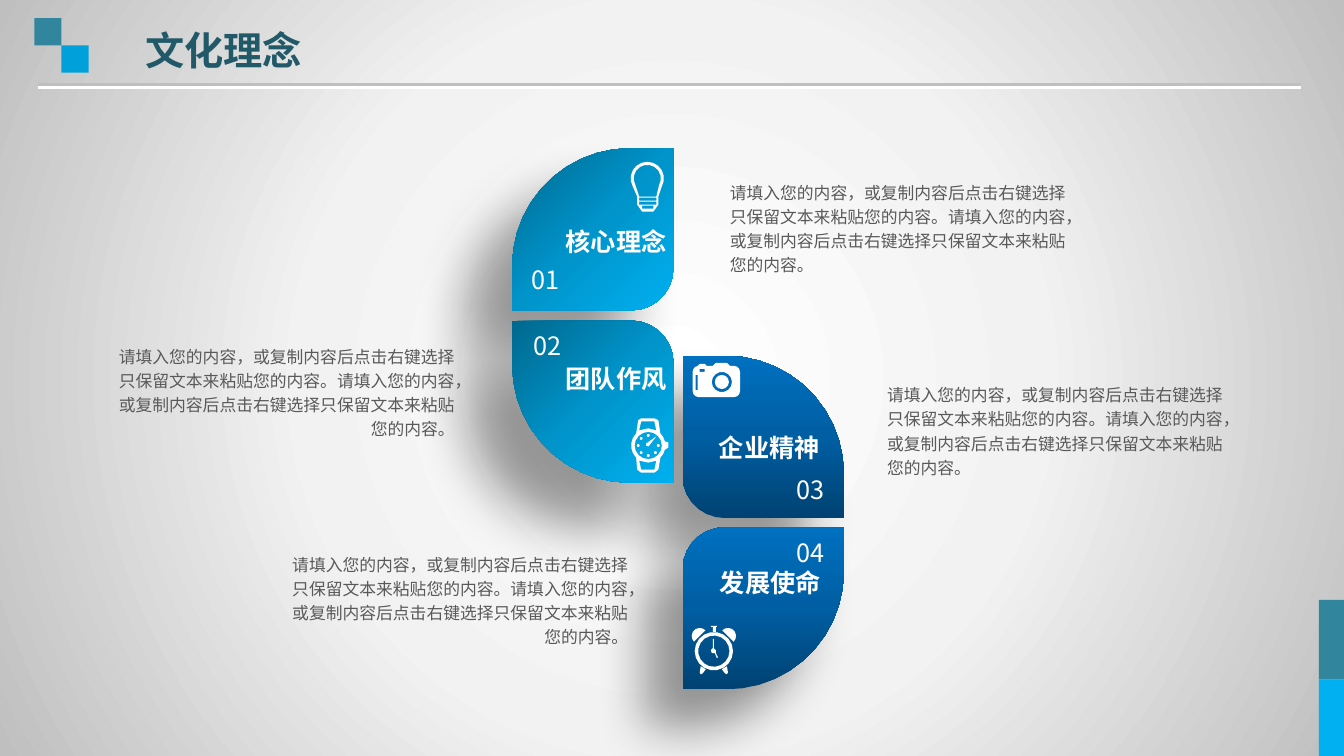
import math
import pptx
import pptx.dml.color
import pptx.enum.shapes
import pptx.enum.text
import pptx.oxml
import pptx.oxml.ns
import pptx.util

Inches, Pt = pptx.util.Inches, pptx.util.Pt
RGB = pptx.dml.color.RGBColor
Align, Anchor = pptx.enum.text.PP_ALIGN, pptx.enum.text.MSO_ANCHOR
qn = pptx.oxml.ns.qn

FONT = "Noto Sans CJK SC"
WHITE, GREY, BLACK = RGB(255, 255, 255), RGB(0xBF, 0xBF, 0xBF), RGB(0, 0, 0)
INK, TITLE = RGB(0x59, 0x59, 0x59), RGB(0x21, 0x59, 0x68)
TEAL, SKY, AZURE = RGB(0x31, 0x85, 0x9C), RGB(0, 0xB0, 0xF0), RGB(0, 0xA1, 0xDA)
PALE = [(0, WHITE), (48, RGB(0xF2, 0xF2, 0xF2)), (100, GREY)]
LIGHT = [(0, RGB(0, 0x68, 0x8E)), (50, RGB(0, 0x94, 0xCA)), (100, SKY)]
DEEP = [(0, RGB(0, 0x42, 0x72)), (50, RGB(0, 0x5E, 0xA2)), (100, RGB(0, 0x70, 0xC0))]

HEAD = "文化理念"
BODY = ("请填入您的内容，或复制内容后点击右键选择只保留文本来粘贴您的内容。"
        "请填入您的内容，或复制内容后点击右键选择只保留文本来粘贴您的内容。")
BODIES = [(7.14, 1.72, Align.LEFT), (1.07, 3.35, Align.RIGHT),
          (8.7, 3.73, Align.LEFT), (2.79, 5.41, Align.RIGHT)]
TILES = [(13.08, 5.95, 0.25, 0.79, TEAL), (13.08, 6.74, 0.25, 0.76, SKY),
         (0.34, 0.18, 0.27, 0.27, TEAL), (0.61, 0.45, 0.27, 0.27, AZURE)]
# Number, label, icon, petal corner, flips (x, y), number box, label box (left, top, width)
PETALS = [
    ("03", "企业精神", "camera", (6.77, 3.53), (True, False), (7.75, 4.61), (6.89, 4.25, 1.48)),
    ("01", "核心理念", "bulb", (5.08, 1.47), (False, False), (5.12, 2.52), (5.17, 2.21, 1.88)),
    ("04", "发展使命", "clock", (6.77, 5.23), (True, True), (7.75, 5.23), (6.9, 5.59, 1.48)),
    ("02", "团队作风", "watch", (5.08, 3.18), (False, True), (5.14, 3.18), (5.17, 3.57, 1.88)),
]
# Petal size, large radius, small radius
WIDE, TALL, BIG, SMALL = 1.6, 1.61, 1.17, 0.42


def arc(x, y, r, start=0, end=360):
    """Points along an arc, in degrees clockwise from the right."""
    count = math.ceil((end - start) / 360 * (2 + 36 * math.sqrt(r)))
    turns = [math.radians(start + (end - start) * i / count) for i in range(count + 1)]
    return [(x + r * math.cos(t), y + r * math.sin(t)) for t in turns]


def rect(x1, y1, x2, y2):
    return [(x1, y1), (x2, y1), (x2, y2), (x1, y2)]


def mirror(points, axis):
    return [(2 * axis - x, y) for x, y in points]


def bulb():
    glass = arc(6.42, 1.77, 0.165, 150, 390)
    base = [(6.53, 1.95), (6.53, 2.03), (6.48, 2.1), (6.37, 2.1), (6.32, 2.03), (6.32, 1.95)]
    hollow = arc(6.42, 1.77, 0.135, 150, 390) + [(6.51, 1.95), (6.34, 1.95)]
    slots = [rect(6.34, 1.96, 6.51, 1.99), rect(6.34, 2, 6.51, 2.03),
             rect(6.37, 2.04, 6.48, 2.07)]
    return [glass + base, hollow] + slots


def camera():
    top = [(6.92, 3.63), (6.94, 3.61), (6.99, 3.61), (7.01, 3.63), (7.07, 3.63),
           (7.1, 3.6), (7.21, 3.6), (7.24, 3.63)]
    body = (arc(6.93, 3.69, 0.06, 180, 260) + top + arc(7.28, 3.69, 0.06, 270, 360)
            + arc(7.28, 3.88, 0.06, 0, 90) + arc(6.93, 3.88, 0.06, 90, 180))
    return [body, rect(6.9, 3.72, 6.92, 3.87), rect(6.94, 3.66, 6.99, 3.69),
            arc(7.16, 3.79, 0.1), arc(7.16, 3.79, 0.07)]


def clock():
    x, y = 7.08, 6.46
    bell = arc(6.94, 6.31, 0.08, 135, 315)
    leg = [(6.95, 6.61), (7, 6.64), (6.97, 6.68), (6.95, 6.69), (6.94, 6.67)]
    knob = [(7.05, 6.21), (7.11, 6.21), (7.11, 6.22), (7.1, 6.22), (7.1, 6.27),
            (7.07, 6.27), (7.07, 6.22), (7.05, 6.22)]
    hands = [(7.07, 6.34), (7.08, 6.34), (7.08, 6.43), (7.1, 6.45), (7.1, 6.48),
             (7.12, 6.52), (7.11, 6.53), (7.09, 6.48), (7.06, 6.48), (7.05, 6.45), (7.07, 6.43)]
    return [arc(x, y, 0.19), arc(x, y, 0.155), knob, hands,
            bell, mirror(bell, x), leg, mirror(leg, x)]


def watch():
    x, y = 6.43, 4.42
    case = ([(6.36, 4.15), (6.49, 4.15), (6.53, 4.17)] + arc(x, y, 0.17, -45, -14)
            + [(6.63, 4.39), (6.63, 4.44)] + arc(x, y, 0.17, 14, 45)
            + [(6.53, 4.66), (6.49, 4.69), (6.36, 4.69), (6.32, 4.66)]
            + arc(x, y, 0.17, 135, 225) + [(6.33, 4.17)])
    strap = [(6.36, 4.18), (6.49, 4.18), (6.51, 4.27), (6.43, 4.25), (6.34, 4.27)]
    lower = [(a, 2 * y - b) for a, b in strap]
    turns = [math.radians(turn) for turn in range(0, 315, 45)]
    marks = [arc(x + 0.1 * math.cos(t), y + 0.1 * math.sin(t), 0.015) for t in turns]
    hand = [(6.51, 4.33), (6.44, 4.42), (6.43, 4.43), (6.41, 4.42), (6.41, 4.4)]
    return [case, arc(x, y, 0.135), strap, lower, hand] + marks


ICONS = {"bulb": bulb, "camera": camera, "clock": clock, "watch": watch}


def draw(shapes, loops):
    """Build one freeform; a loop inside another cuts a hole."""
    loops = [[(Inches(x), Inches(y)) for x, y in loop] for loop in loops]
    pen = shapes.build_freeform(*loops[0][0])
    pen.add_line_segments(loops[0][1:])
    for loop in loops[1:]:
        pen.move_to(*loop[0])
        pen.add_line_segments(loop[1:])
    return pen.convert_to_shape()


def paint(shape, color):
    shape.fill.solid()
    shape.fill.fore_color.rgb = color
    shape.line.fill.background()
    shape.shadow.inherit = False


def blend(fill, owner, stops, course):
    """Swap the solid fill for a gradient."""
    fill.solid()
    marks = "".join(f'<a:gs pos="{at * 1000}"><a:srgbClr val="{color}"/></a:gs>'
                    for at, color in stops)
    old = next(owner.iter(qn("a:solidFill")))
    old.getparent().replace(old, pptx.oxml.parse_xml(
        f'<a:gradFill {pptx.oxml.ns.nsdecls("a")} rotWithShape="1">'
        f'<a:gsLst>{marks}</a:gsLst>{course}</a:gradFill>'))


def shade(shape, color, alpha, blur, dist, turn):
    shape.element.spPr.append(pptx.oxml.parse_xml(
        f'<a:effectLst {pptx.oxml.ns.nsdecls("a")}><a:outerShdw blurRad="{Pt(blur)}" '
        f'dist="{Pt(dist)}" dir="{turn * 60000}" algn="ctr" rotWithShape="0">'
        f'<a:srgbClr val="{color}"><a:alpha val="{alpha * 1000}"/></a:srgbClr>'
        f'</a:outerShdw></a:effectLst>'))


def write(box, text, size, color, align, bold=False, anchor=Anchor.TOP, space=1.0):
    frame = box.text_frame
    frame.word_wrap = True
    frame.vertical_anchor = anchor
    frame.auto_size = pptx.enum.text.MSO_AUTO_SIZE.NONE
    line = frame.paragraphs[0]
    line.text, line.alignment, line.line_spacing = text, align, space
    font = line.font
    font.size, font.bold, font.name = Pt(size), bold, FONT
    font.color.rgb = color
    latin = next(box.element.iter(qn("a:latin")))
    latin.addnext(pptx.oxml.parse_xml(
        f'<a:ea {pptx.oxml.ns.nsdecls("a")} typeface="{FONT}"/>'))


def add_text(shapes, x, y, w, h, *style, **more):
    write(shapes.add_textbox(*map(Inches, (x, y, w, h))), *style, **more)


def add_petal(slide, num, label, icon, corner, flips, spot, place):
    shapes = slide.shapes.add_group_shape().shapes
    edge = (arc(BIG, BIG, BIG, 180, 270) + [(WIDE, 0)]
            + arc(WIDE - SMALL, TALL - SMALL, SMALL, 0, 90) + [(0, TALL)])
    left, top = corner
    edge = [(left + (WIDE - x if flips[0] else x), top + (TALL - y if flips[1] else y))
            for x, y in edge]
    petal = draw(shapes, [edge])
    stops, turn, cast = (DEEP, 270, (36, 38)) if flips[0] else (LIGHT, 45, (39, 45))
    blend(petal.fill, petal.element.spPr, stops, f'<a:lin ang="{turn * 60000}" scaled="0"/>')
    petal.line.fill.background()
    shade(petal, BLACK, 40, *cast, 135)
    paint(draw(shapes, ICONS[icon]()), WHITE)
    add_text(shapes, *spot, 0.58, 0.5, num, 18, WHITE, Align.CENTER, anchor=Anchor.MIDDLE)
    add_text(shapes, *place, 0.37, label, 18, WHITE, Align.CENTER, True, Anchor.MIDDLE)


def main():
    deck = pptx.Presentation()
    deck.slide_width, deck.slide_height = Inches(13.33), Inches(7.5)
    slide = deck.slides.add_slide(deck.slide_layouts[5])
    blend(slide.background.fill, slide.element, PALE,
          '<a:path path="circle"><a:fillToRect l="50000" t="50000" r="50000" b="50000"/></a:path>')
    for *place, color in TILES:
        tile = slide.shapes.add_shape(pptx.enum.shapes.MSO_SHAPE.RECTANGLE, *map(Inches, place))
        paint(tile, color)
    rule = slide.shapes.add_connector(pptx.enum.shapes.MSO_CONNECTOR.STRAIGHT,
                                      *map(Inches, (0.38, 0.84, 12.9, 0.84)))
    rule.line.color.rgb, rule.line.width = GREY, Pt(2.25)
    shade(rule, WHITE, 100, 0, 2, 90)

    title = slide.shapes.title
    title.left, title.top, title.width, title.height = map(Inches, (1.34, 0.21, 2.91, 0.57))
    write(title, HEAD, 28, TITLE, Align.LEFT, True)
    for petal in PETALS:
        add_petal(slide, *petal)
    for x, y, align in BODIES:
        add_text(slide.shapes, x, y, 3.54, 1.07, BODY, 12, INK, align, space=1.2)
    deck.save("out.pptx")


if __name__ == "__main__":
    main()
